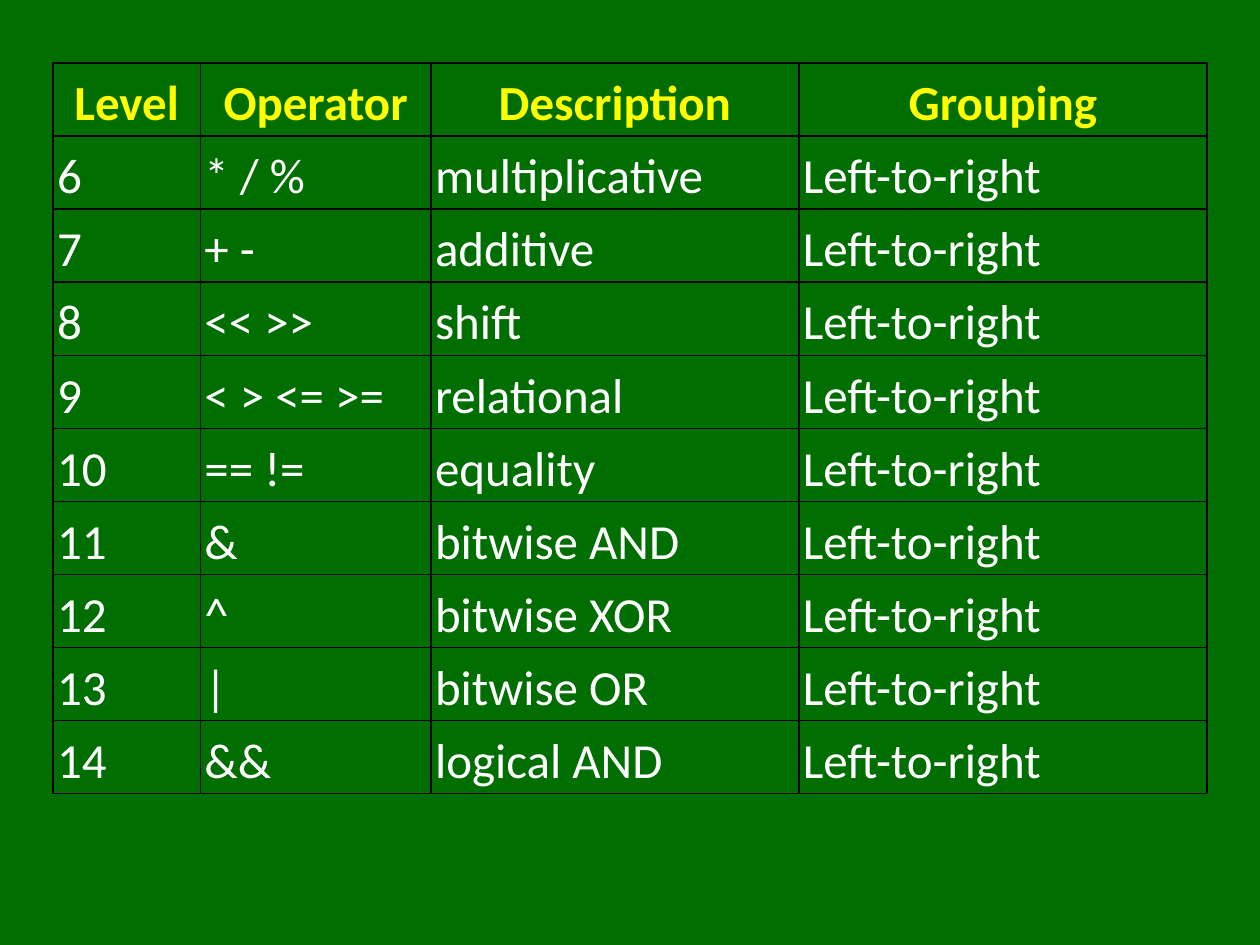
from lxml import etree
from pptx import Presentation
from pptx.dml.color import RGBColor
from pptx.enum.text import MSO_ANCHOR, PP_ALIGN
from pptx.oxml.ns import qn
from pptx.util import Inches, Pt

LEFT, CENTER, MIDDLE = PP_ALIGN.LEFT, PP_ALIGN.CENTER, MSO_ANCHOR.MIDDLE
BLANK_LAYOUT = 6
COLUMN_WIDTHS = (1.17, 1.83, 2.92, 3.24)
ROW_HEIGHT = 0.58
HEADINGS = ("Level", "Operator", "Description", "Grouping")
FIRST_LEVEL = 6
GROUPING = "Left-to-right"
OPERATORS = (
    ("* / %", "multiplicative"),
    ("+ -", "additive"),
    ("<< >>", "shift"),
    ("< > <= >=", "relational"),
    ("== !=", "equality"),
    ("&", "bitwise AND"),
    ("^", "bitwise XOR"),
    ("|", "bitwise OR"),
    ("&&", "logical AND"),
)
CELL_FORMAT = {
    "vertical_anchor": MIDDLE,
    "margin_left": Pt(2.4), "margin_right": Pt(2.4),
    "margin_top": Pt(1.2), "margin_bottom": Pt(1.2),
}
PARAGRAPH_FORMAT = {"line_spacing": 1.15, "space_after": Pt(10)}
FONT_FORMAT = {"name": "Calibri", "size": Pt(28), "italic": False}


def color(hex_value):
    """Return the colour for a hex string."""
    return RGBColor.from_string(hex_value)


def apply_format(target, values):
    """Set every attribute in values on target."""
    for name, value in values.items():
        setattr(target, name, value)


def add_borders(cell, hex_value, width):
    """Draw a solid line on all four sides of a cell."""
    properties = cell._tc.get_or_add_tcPr()
    for position, side in enumerate(("a:lnL", "a:lnR", "a:lnT", "a:lnB")):
        border = etree.Element(qn(side), w=str(Pt(width)))
        fill = etree.SubElement(border, qn("a:solidFill"))
        etree.SubElement(fill, qn("a:srgbClr"), val=hex_value)
        properties.insert(position, border)


def fill_cell(cell, text, heading):
    """Write and format one heading or body cell."""
    cell.text = text
    apply_format(cell, CELL_FORMAT)
    cell.fill.background()
    add_borders(cell, "000000", 1)
    paragraph = cell.text_frame.paragraphs[0]
    apply_format(paragraph, PARAGRAPH_FORMAT)
    paragraph.alignment = CENTER if heading else LEFT
    font = paragraph.runs[0].font
    apply_format(font, {**FONT_FORMAT, "bold": heading})
    font.color.rgb = color("FFFF00" if heading else "FFFFFF")


def add_precedence_table(slide):
    """Add the operator precedence table."""
    rows = [HEADINGS] + [
        (str(level), operator, description, GROUPING)
        for level, (operator, description) in enumerate(OPERATORS, FIRST_LEVEL)
    ]
    frame = slide.shapes.add_table(
        len(rows), len(HEADINGS), Inches(0.42), Inches(0.5),
        Inches(sum(COLUMN_WIDTHS)), Inches(ROW_HEIGHT * len(rows)))
    table = frame.table
    table.horz_banding = False
    for column, width in zip(table.columns, COLUMN_WIDTHS):
        column.width = Inches(width)
    for row_index, row in enumerate(rows):
        for column_index, text in enumerate(row):
            fill_cell(table.cell(row_index, column_index), text, row_index == 0)


def main():
    """Build and save the slide."""
    deck = Presentation()
    deck.slide_width, deck.slide_height = Inches(10), Inches(7.5)
    slide = deck.slides.add_slide(deck.slide_layouts[BLANK_LAYOUT])
    background = slide.background.fill
    background.solid()
    background.fore_color.rgb = color("006E00")
    add_precedence_table(slide)
    deck.save("out.pptx")


main()
